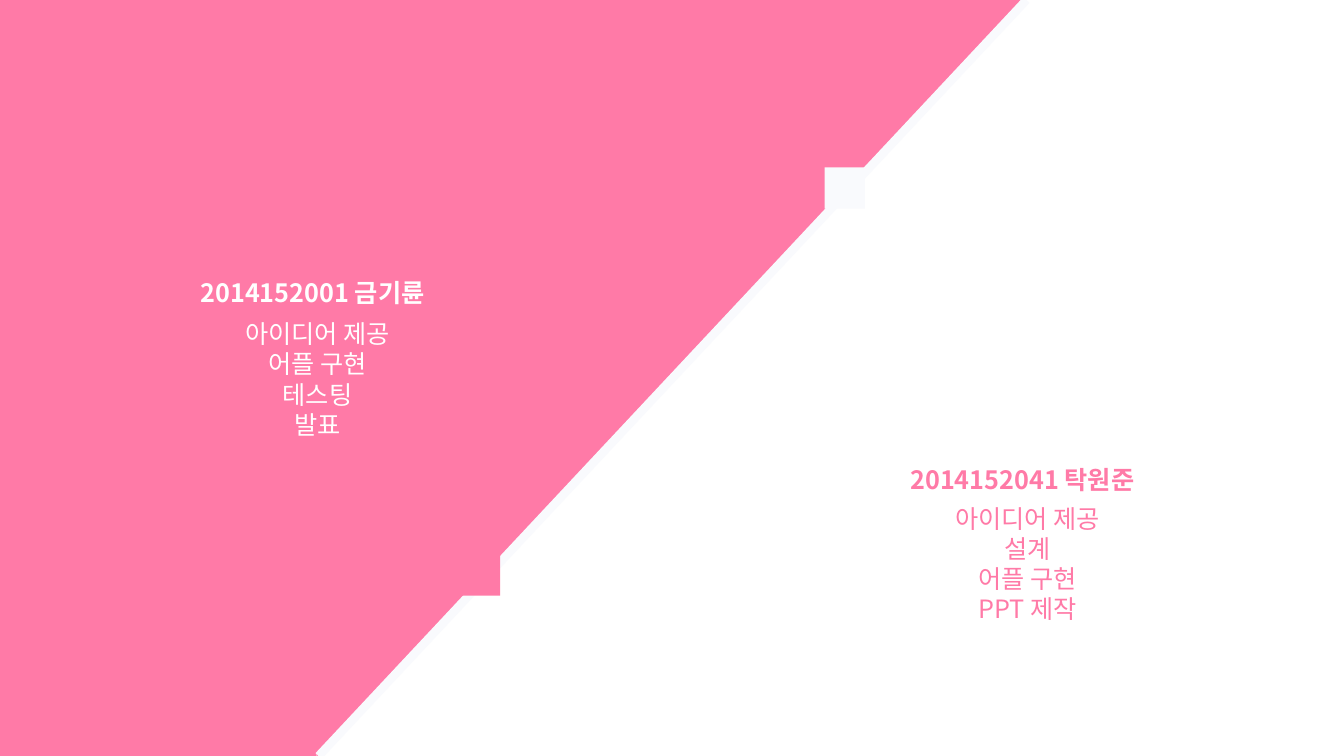
from dataclasses import dataclass

from pptx import Presentation
from pptx.dml.color import RGBColor
from pptx.enum.shapes import MSO_CONNECTOR, MSO_SHAPE
from pptx.enum.text import MSO_ANCHOR, MSO_AUTO_SIZE, PP_ALIGN
from pptx.oxml.ns import qn
from pptx.util import Inches, Pt
from lxml.etree import SubElement


@dataclass(frozen=True)
class Theme:
    pink: RGBColor = RGBColor(0xFF, 0x7A, 0xA7)
    white: RGBColor = RGBColor(0xFF, 0xFF, 0xFF)
    pale: RGBColor = RGBColor(0xF9, 0xFA, 0xFD)
    name_font: str = "Noto Sans CJK KR"
    task_font: str = "Noto Sans CJK JP"
    text_size: Pt = Pt(18)
    divider_width: Pt = Pt(6)


class Page:
    def __init__(self, slide, theme):
        self.slide = slide
        self.theme = theme

    def block(self, preset, left, top, width, height, color, rotation=0):
        shape = self.slide.shapes.add_shape(
            preset, Inches(left), Inches(top), Inches(width), Inches(height))
        shape.rotation = rotation
        shape.shadow.inherit = False
        shape.fill.solid()
        shape.fill.fore_color.rgb = color
        shape.line.fill.background()
        return shape

    def half(self, triangle_left, edge_left, color, rotation=0):
        triangle = self.block(
            MSO_SHAPE.ISOSCELES_TRIANGLE, triangle_left, 0, 10.16, 7.5, color, rotation)
        triangle.adjustments[0] = 0.69
        self.block(MSO_SHAPE.RECTANGLE, edge_left, 0, 3.14, 7.5, color)

    def divider(self, start, end):
        line = self.slide.shapes.add_connector(
            MSO_CONNECTOR.STRAIGHT, *map(Inches, start + end))
        line.line.color.rgb = self.theme.pale
        line.line.width = self.theme.divider_width
        SubElement(line._element.spPr, qn("a:effectLst"))

    def text(self, left, top, width, height, lines, font_name, color,
             bold=False, wrap=True, align=PP_ALIGN.LEFT):
        box = self.slide.shapes.add_textbox(
            Inches(left), Inches(top), Inches(width), Inches(height))
        frame = box.text_frame
        frame_format = {
            "word_wrap": wrap,
            "auto_size": MSO_AUTO_SIZE.SHAPE_TO_FIT_TEXT,
            "vertical_anchor": MSO_ANCHOR.TOP,
        }
        for name, value in frame_format.items():
            setattr(frame, name, value)
        font_format = {"name": font_name, "size": self.theme.text_size, "bold": bold}
        for index, line in enumerate(lines):
            para = frame.add_paragraph() if index else frame.paragraphs[0]
            para.alignment = align
            span = para.add_run()
            span.text = line
            for name, value in font_format.items():
                setattr(span.font, name, value)
            span.font.color.rgb = color
            SubElement(span._r.get_or_add_rPr(), qn("a:ea"), typeface=font_name)

    def member(self, left, name_top, tasks_top, name, tasks, color):
        self.text(left, name_top, 2.51, 0.4, [name], self.theme.name_font, color, bold=True)
        self.text(left + 0.37, tasks_top, 1.78, 1.31, tasks, self.theme.task_font, color,
                  wrap=False, align=PP_ALIGN.CENTER)


def main():
    theme = Theme()
    deck = Presentation()
    deck.slide_width = Inches(13.33)
    deck.slide_height = Inches(7.5)
    page = Page(deck.slides.add_slide(deck.slide_layouts[6]), theme)

    page.half(0, 0, theme.pink, rotation=180)
    page.half(3.17, 10.19, theme.white)
    page.divider((10.18, 0), (3.16, 7.5))
    for left, top, color in [(8.18, 1.66, theme.pale), (4.56, 5.5, theme.pink)]:
        page.block(MSO_SHAPE.RECTANGLE, left, top, 0.4, 0.41, color)

    page.member(1.89, 2.7, 3.11, "2014152001 금기륜",
                ["아이디어 제공", "어플 구현", "테스팅", "발표"], theme.white)
    page.member(8.93, 4.56, 4.94, "2014152041 탁원준",
                ["아이디어 제공", "설계", "어플 구현", "PPT 제작"], theme.pink)

    deck.save("out.pptx")


if __name__ == "__main__":
    main()
